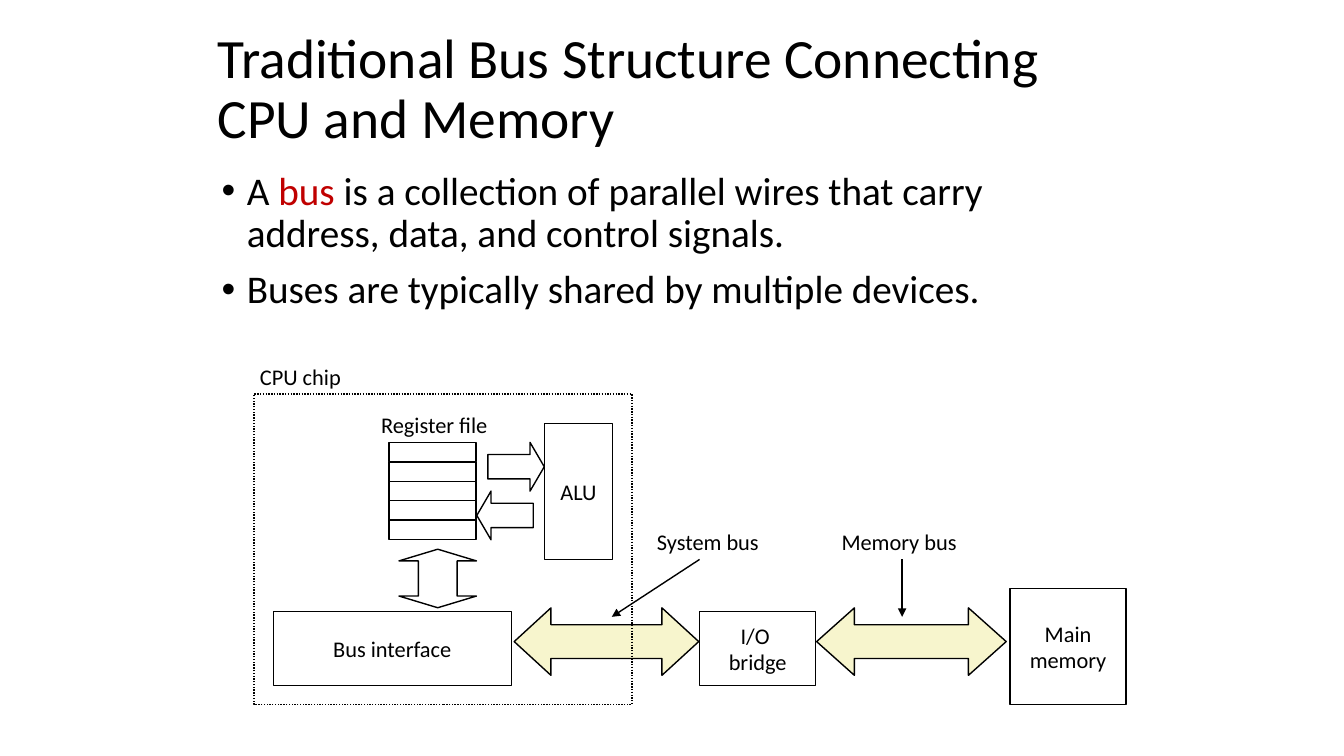
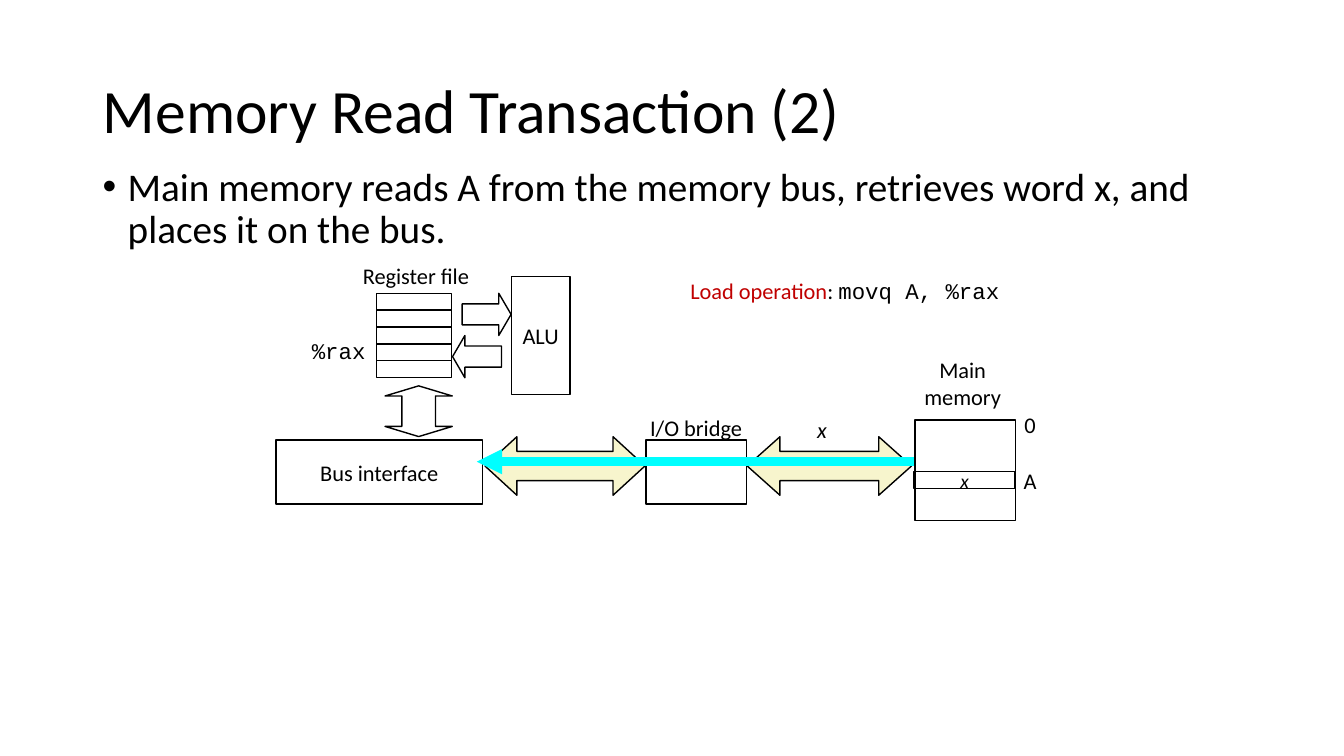
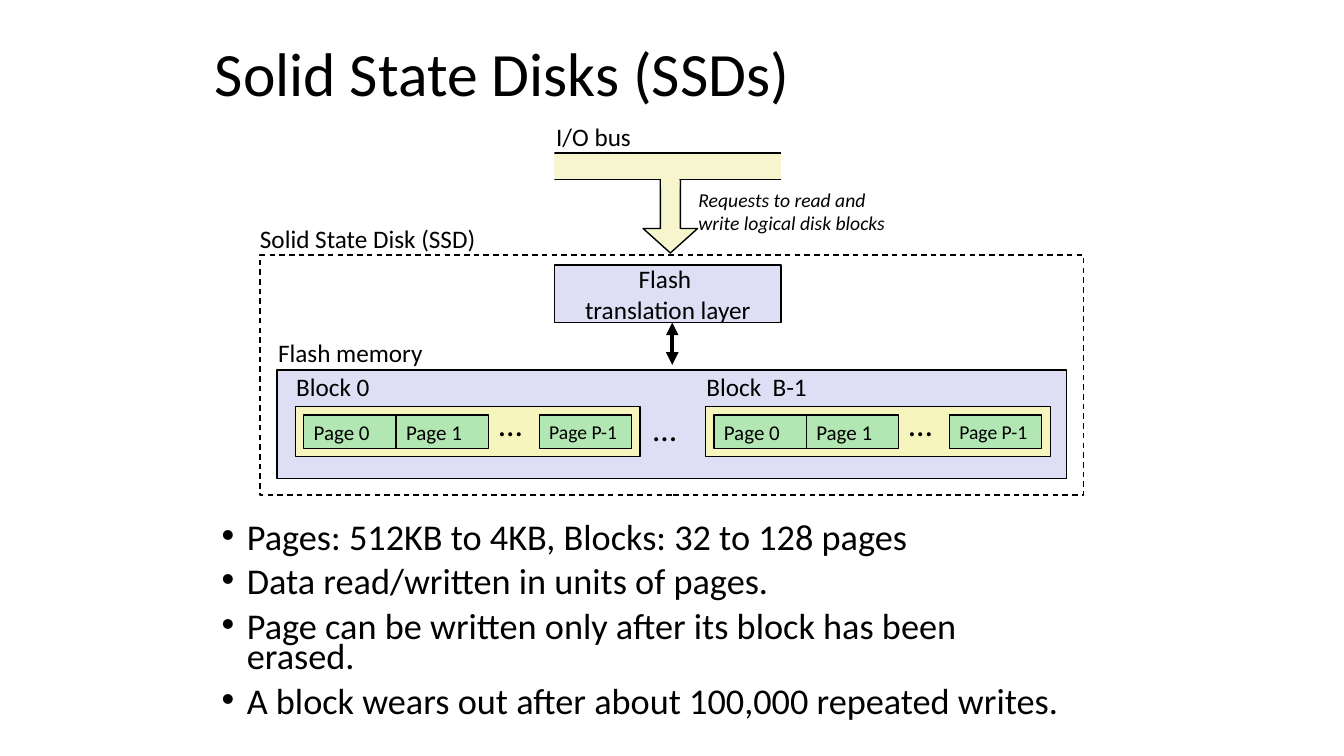
from lxml import etree
from pptx import Presentation
from pptx.dml.color import RGBColor
from pptx.enum.dml import MSO_LINE
from pptx.enum.shapes import MSO_CONNECTOR, MSO_SHAPE
from pptx.enum.text import MSO_ANCHOR, MSO_AUTO_SIZE, PP_ALIGN
from pptx.oxml.ns import qn
from pptx.util import Pt

RECT, STRAIGHT = MSO_SHAPE.RECTANGLE, MSO_CONNECTOR.STRAIGHT
RIGHT, LEFT, DOWN = MSO_SHAPE.RIGHT_ARROW, MSO_SHAPE.LEFT_ARROW, MSO_SHAPE.DOWN_ARROW
ACROSS, UPDOWN = MSO_SHAPE.LEFT_RIGHT_ARROW, MSO_SHAPE.UP_DOWN_ARROW
DOTTED, DASHED = MSO_LINE.ROUND_DOT, MSO_LINE.DASH
MIDDLE, TOP = MSO_ANCHOR.MIDDLE, MSO_ANCHOR.TOP
GROW, FIXED = MSO_AUTO_SIZE.SHAPE_TO_FIT_TEXT, MSO_AUTO_SIZE.NONE
ALIGN_LEFT, CENTER = PP_ALIGN.LEFT, PP_ALIGN.CENTER

BLACK = RGBColor(0x00, 0x00, 0x00)
WHITE = RGBColor(0xFF, 0xFF, 0xFF)
RED = RGBColor(0xC0, 0x00, 0x00)
CYAN = RGBColor(0x00, 0xFF, 0xFF)
CREAM = RGBColor(0xF7, 0xF5, 0xCD)
YELLOW = RGBColor(0xF6, 0xF5, 0xBD)
LILAC = RGBColor(0xDE, 0xDF, 0xF5)
GREEN = RGBColor(0xB2, 0xE6, 0xB2)
SANS, MONO = "Calibri", "Courier New"


def box(s, kind, x, y, w, h, text="", size=16, fill=None, line=BLACK, dash=None,
        adj=(), align=CENTER, italic=False, font=SANS):
    at = Pt(x), Pt(y), Pt(w), Pt(h)
    if kind is None:
        sp = s.shapes.add_textbox(*at)
        sp.text_frame.auto_size = GROW
    else:
        sp = s.shapes.add_shape(kind, *at)
        sp.shadow.inherit = False
        if adj:
            guides = sp._element.spPr.find(qn("a:prstGeom")).find(qn("a:avLst"))
            for guide in list(guides):
                guides.remove(guide)
            for i, value in enumerate(adj, 1):
                etree.SubElement(guides, qn("a:gd"), name=f"adj{i}",
                                 fmla=f"val {round(value * 100000)}")
        if fill is None:
            sp.fill.background()
        else:
            sp.fill.solid()
            sp.fill.fore_color.rgb = fill
        if line is None:
            sp.line.fill.background()
        else:
            sp.line.color.rgb = line
            sp.line.width = Pt(1)
            sp.line.dash_style = dash
    tf = sp.text_frame
    tf.word_wrap = False
    tf.vertical_anchor = MIDDLE
    for i, words in enumerate(text.split("\n") if text else []):
        p = tf.add_paragraph() if i else tf.paragraphs[0]
        p.alignment = align
        r = p.add_run()
        r.text = words
        r.font.size, r.font.name, r.font.italic = Pt(size), font, italic
        r.font.color.rgb = BLACK
    return sp


def arrow(s, x1, y1, x2, y2, ends, width=1, color=BLACK):
    c = s.shapes.add_connector(STRAIGHT, Pt(x1), Pt(y1), Pt(x2), Pt(y2))
    c.line.color.rgb = color
    c.line.width = Pt(width)
    ln = c.line._get_or_add_ln()
    for end in ends:
        etree.SubElement(ln, qn("a:" + end), type="triangle")
    etree.SubElement(c._element.spPr, qn("a:effectLst"))


prs = Presentation()
prs.slide_width, prs.slide_height = Pt(960), Pt(540)

PAGES = [
    (["Traditional Bus Structure Connecting ", "CPU and Memory"], 39.6,
     (148.3, 34.6, 692, 59.8), (151.2, 118.8, 622, 391.7), 28, 0.9,
     [[("A ", BLACK), ("bus ", RED),
       ("is a collection of parallel wires that carry address, data, and control signals.", BLACK)],
      [("Buses are typically shared by multiple devices.", BLACK)]]),
    (["Memory Read Transaction (2)"], 44,
     (66.2, 28.8, 828, 104.4), (66.2, 115.9, 828, 370.8), 28, 0.9,
     [[("Main memory reads A from the memory bus, retrieves word x, and places it on the bus.",
        BLACK)]]),
    (["Solid State Disks (SSDs)"], 44,
     (146.2, 24.5, 597.6, 59.8), (151.2, 372.2, 622, 149.8), 25.9, 0.7,
     [[("Pages: 512KB to 4KB, Blocks: 32 to 128 pages", BLACK)],
      [("Data read/written in units of pages. ", BLACK)],
      [("Page can be written only after its block has been erased.", BLACK)],
      [("A block wears out after about 100,000 repeated writes.", BLACK)]]),
]

slides = []
for lines, title_size, title_at, body_at, body_size, spacing, bullets in PAGES:
    s = prs.slides.add_slide(prs.slide_layouts[5])
    slides.append(s)
    title = s.shapes.title
    title.left, title.top, title.width, title.height = [Pt(v) for v in title_at]
    tf = title.text_frame
    tf.auto_size, tf.vertical_anchor, tf.word_wrap = FIXED, MIDDLE, True
    p = tf.paragraphs[0]
    p.alignment, p.line_spacing = ALIGN_LEFT, 0.9
    for i, words in enumerate(lines):
        if i:
            p.add_line_break()
        r = p.add_run()
        r.text = words
        r.font.size, r.font.name = Pt(title_size), SANS
        r.font.color.rgb = BLACK

    tf = s.shapes.add_textbox(*[Pt(v) for v in body_at]).text_frame
    tf.word_wrap = True
    for i, runs in enumerate(bullets):
        p = tf.add_paragraph() if i else tf.paragraphs[0]
        p.line_spacing, p.space_before = spacing, Pt(10)
        pPr = p._p.get_or_add_pPr()
        pPr.set("marL", str(Pt(18)))
        pPr.set("indent", str(-Pt(18)))
        etree.SubElement(pPr, qn("a:buFont"), typeface="Arial")
        etree.SubElement(pPr, qn("a:buChar"), char="•")
        for words, color in runs:
            r = p.add_run()
            r.text = words
            r.font.size, r.font.name = Pt(body_size), SANS
            r.font.color.rgb = color

bus_slide, read_slide, ssd_slide = slides

DIAGRAMS = [
    (bus_slide, 278, 316, 1, "I/O \nbridge", "Main\nmemory"),
    (read_slide, 269, 209.5, 0.867, "", ""),
]
for s, x0, y0, scale, bridge, memory in DIAGRAMS:
    parts = [
        (RECT, 443.5, 104.4, 82.8, 82.8, memory, None, ()),
        (ACROSS, 305.3, 118.2, 135.4, 48.2, "", CREAM, (0.5, 0.56)),
        (RECT, 221.8, 121, 82.8, 52.6, bridge, None, ()),
        (ACROSS, 89.3, 118.2, 131.8, 48.2, "", CREAM, (0.5, 0.545)),
        (RECT, -82.8, 121, 170, 52.6, "Bus interface", WHITE, ()),
        (RIGHT, 70.5, 0, 40.3, 34.8, "", None, (0.5, 0.292)),
        (LEFT, 62.6, 34.8, 40.3, 34.8, "", None, (0.5, 0.292)),
        (RECT, 111, -13.7, 48.4, 97.2, "ALU", None, ()),
        (UPDOWN, 7, 76.3, 55.4, 41.8, "", None, (0.5, 0.2)),
    ]
    parts += [(RECT, 0, row * 13.9, 62, 13.9, "", None, ()) for row in range(5)]
    for kind, x, y, w, h, text, fill, adj in parts:
        box(s, kind, x0 + x * scale, y0 + y * scale, w * scale, h * scale,
            text, fill=fill, adj=adj)
    box(s, None, x0 + 31 * scale - 43.8, y0 - 26, 93.6, 26.6, "Register file", align=ALIGN_LEFT)

s = bus_slide
box(s, RECT, 181.4, 281.5, 270, 221.8, dash=DOTTED)
for text, x, y, w in [("CPU chip", 178.6, 255.6, 74.2),
                      ("System bus", 462.2, 373.7, 90),
                      ("Memory bus", 594, 373.7, 99.4)]:
    box(s, None, x, y, w, 26.6, text, align=ALIGN_LEFT)
arrow(s, 499.7, 399.6, 437, 440.6, ["tailEnd"])
arrow(s, 644.4, 399.6, 644.4, 440.6, ["tailEnd"])

s = read_slide
arrow(s, 340.6, 329.8, 653, 329.8, ["headEnd"], 6, CYAN)
box(s, RECT, 653, 337, 72, 12.2, "x", size=14, italic=True)
for text, x, y, w, font, italic in [("x", 576, 293.8, 22.3, SANS, True),
                                    ("0", 724.3, 290.2, 23, SANS, False),
                                    ("A", 723.6, 329.8, 24.5, SANS, False),
                                    ("%rax", 215.3, 236.9, 53.3, MONO, False),
                                    ("I/O bridge", 455.8, 292.3, 82.8, SANS, False)]:
    box(s, None, x, y, w, 26.6, text, font=font, italic=italic)
tf = box(s, None, 635.8, 250.6, 103.7, 46, "Main memory").text_frame
tf.word_wrap = True
tf.margin_left = tf.margin_right = Pt(12)
tf = box(s, None, 486, 194.4, 240.5, 46).text_frame
tf.vertical_anchor = TOP
for words, color, font in [("Load operation", RED, SANS), (": ", BLACK, SANS),
                           ("movq A, %rax", BLACK, MONO)]:
    r = tf.paragraphs[0].add_run()
    r.text = words
    r.font.size, r.font.name = Pt(16), font
    r.font.color.rgb = color

s = ssd_slide
box(s, RECT, 198, 264.2, 563.8, 77.8, fill=LILAC)
box(s, DOWN, 459.4, 126.7, 38.9, 54, fill=CREAM, adj=(0.367, 0.449))
box(s, RECT, 396, 189.4, 162, 41, "Flash \ntranslation layer", size=18, fill=LILAC)
arrow(s, 480.2, 230.4, 480.2, 260.6, ["headEnd", "tailEnd"], 3)
box(s, RECT, 390.2, 109.4, 174.2, 18.7, fill=CREAM)
box(s, RECT, 472.3, 121.7, 13, 12.2, fill=CREAM, line=None)
for x in (360, 558):
    box(s, RECT, x, 94, 36, 40, fill=WHITE, line=None)

for x0, name, name_w in [(211, "Block 0", 67.7), (504, "Block  B-1", 87.1)]:
    box(s, RECT, x0, 290.2, 246.2, 36, fill=YELLOW)
    for x, page, size in [(6, "Page 0", 15), (72, "Page 1", 15), (174.2, "Page P-1", 14)]:
        box(s, RECT, x0 + x, 296.6, 66, 23.8, page, size=size, fill=GREEN, align=ALIGN_LEFT)
    box(s, None, x0 + 138.2, 284.4, 31.7, 36, "…", size=24, align=ALIGN_LEFT)
    box(s, None, x0 - 6.5, 261.4, name_w, 28.8, name, size=18, align=ALIGN_LEFT)
box(s, None, 459.4, 288, 31.7, 36, "…", size=24, align=ALIGN_LEFT)

box(s, RECT, 185.8, 182.2, 588.2, 171.4, dash=DASHED)
for text, x, y, w in [("I/O bus", 390.2, 82.8, 68.4),
                      ("Flash memory", 191.5, 237.6, 118.8),
                      ("Solid State Disk (SSD)", 178.6, 156.2, 170.6)]:
    box(s, None, x, y, w, 28.8, text, size=18, align=ALIGN_LEFT)
box(s, None, 491.8, 130.3, 167.8, 41, "Requests to read and \nwrite logical disk blocks",
    size=14, align=ALIGN_LEFT, italic=True)

prs.save("out.pptx")
